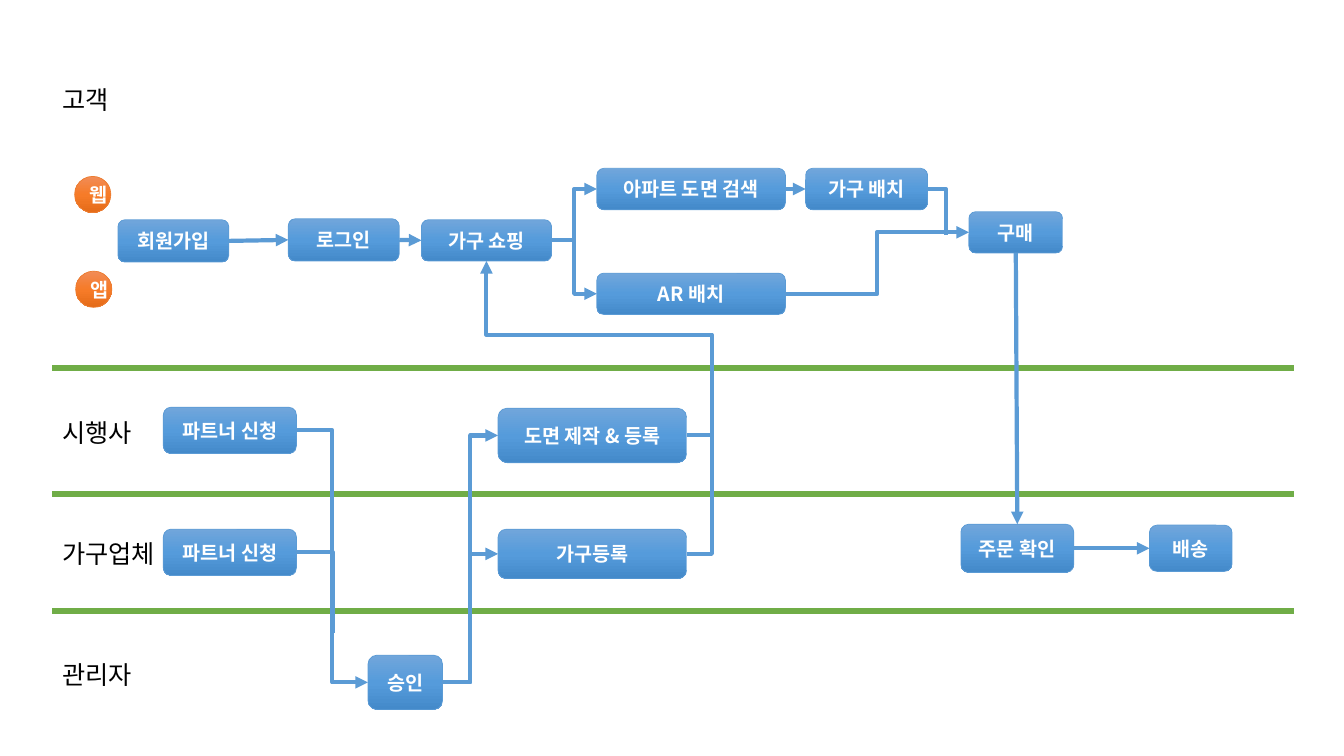
from typing import NamedTuple, Optional

from lxml import etree
from pptx import Presentation
from pptx import util as u
from pptx.dml.color import RGBColor
from pptx.enum import shapes, text
from pptx.oxml import ns

FONT = "Noto Sans CJK KR"
BLUE, ORANGE, GREEN = "5B9BD5", "ED7D31", "70AD47"
BLUE_STOPS = ("71A6DB", "559BDB", "448ACA")
ORANGE_STOPS = ("F18C57", "F67B28", "E56C19")
TOP, LEFT, BOTTOM, RIGHT = range(4)


class Step(NamedTuple):
    """A process box: key, caption and place in inches."""
    key: str
    caption: str
    x: float
    y: float
    w: float
    h: float


class Link(NamedTuple):
    """An arrow from one step to another, through connection sites."""
    start: str
    end: str
    preset: str = "line"
    start_site: int = RIGHT
    end_site: int = LEFT
    adjust: tuple[int, ...] = ()


class Join(NamedTuple):
    """An elbow from a step's right side that meets another line."""
    start: str
    x: float
    y: float


LANES = [("고객", 0.79), ("시행사", 4.09), ("가구업체", 5.29), ("관리자", 6.49)]
DIVIDERS = [3.65, 4.9, 6.06]
CHANNELS = [Step("web", "웹", 0.74, 1.75, 0.36, 0.36),
            Step("app", "앱", 0.75, 2.69, 0.36, 0.36)]
STEPS = [
    Step("builder", "파트너 신청", 1.62, 4.04, 1.32, 0.46),
    Step("maker", "파트너 신청", 1.62, 5.25, 1.32, 0.46),
    Step("plans", "도면 제작 & 등록", 4.94, 4.05, 1.87, 0.54),
    Step("furniture", "가구등록", 4.94, 5.25, 1.87, 0.49),
    Step("approve", "승인", 3.65, 6.5, 0.74, 0.54),
    Step("join", "회원가입", 1.17, 2.18, 1.1, 0.42),
    Step("login", "로그인", 2.86, 2.17, 1.1, 0.42),
    Step("order", "주문 확인", 9.53, 5.2, 1.12, 0.48),
    Step("delivery", "배송", 11.4, 5.21, 0.82, 0.46),
    Step("shopping", "가구 쇼핑", 4.18, 2.18, 1.29, 0.41),
    Step("search", "아파트 도면 검색", 5.92, 1.67, 1.87, 0.41),
    Step("placing", "가구 배치", 7.99, 1.67, 1.21, 0.41),
    Step("buy", "구매", 9.61, 2.1, 0.93, 0.41),
    Step("ar", "AR 배치", 5.92, 2.71, 1.87, 0.41),
]
LINKS = [
    Link("join", "login"),
    Link("login", "shopping"),
    Link("search", "placing"),
    Link("order", "delivery"),
    Link("buy", "order", "line", BOTTOM, TOP),
    Link("builder", "approve", "bentConnector3"),
    Link("approve", "plans", "bentConnector3"),
    Link("approve", "furniture", "bentConnector3"),
    Link("shopping", "search", "bentConnector3"),
    Link("shopping", "ar", "bentConnector3"),
    Link("ar", "buy", "bentConnector3"),
    Link("plans", "shopping", "bentConnector4", RIGHT, BOTTOM, (-12600, 57800)),
]
JOINS = [Join("maker", 3.3, 6.28), Join("placing", 9.38, 2.33),
         Join("furniture", 7.06, 3.65)]


def rgb(value: str) -> RGBColor:
    """Turn a hex string into a colour."""
    return RGBColor.from_string(value)


def sub(parent, tag: str, **attrs: str):
    """Append a DrawingML element."""
    return etree.SubElement(parent, ns.qn(tag), attrs)


def write(tf, caption: str, size: int, color: str, bold: bool = False) -> None:
    """Set a one-paragraph text and format its run."""
    tf.text = caption
    r = tf.paragraphs[0].runs[0]
    r.font.size, r.font.bold, r.font.name = u.Pt(size), bold, FONT
    r.font.color.rgb = rgb(color)
    sub(r.font._element, "a:ea", typeface=FONT)


def add_step(s, step: Step, preset, stops: tuple[str, ...], outline: str):
    """Draw a step with a vertical three-stop gradient."""
    sp = s.shapes.add_shape(preset, *map(u.Inches, step[2:]))
    sp.shadow.inherit = False
    sp.fill.gradient()
    sp.fill.gradient_angle = 270
    stop_list = sp._element.spPr.find(".//" + ns.qn("a:gsLst"))
    for old in list(stop_list):
        stop_list.remove(old)
    for i, color in enumerate(stops):
        stop = sub(stop_list, "a:gs", pos=str(i * 50000))
        sub(stop, "a:srgbClr", val=color)
    sp.line.color.rgb = rgb(outline)
    sp.line.width = u.Pt(0.5)
    tf = sp.text_frame
    tf.word_wrap = True
    tf.vertical_anchor = text.MSO_ANCHOR.MIDDLE
    write(tf, step.caption, 14, "FFFFFF", True)
    tf.paragraphs[0].alignment = text.PP_ALIGN.CENTER
    return sp


def add_line(s, ends: tuple[float, ...], color: str, width: float,
             preset: str = "line", adjust: tuple[int, ...] = (),
             arrow: bool = False):
    """Draw a connector between two points given in inches."""
    kind = shapes.MSO_CONNECTOR
    cx = s.shapes.add_connector(
        kind.STRAIGHT if preset == "line" else kind.ELBOW, *map(u.Inches, ends))
    cx.line.color.rgb = rgb(color)
    cx.line.width = u.Pt(width)
    spPr = cx._element.spPr
    geom = spPr.find(ns.qn("a:prstGeom"))
    geom.set("prst", preset)
    for i, value in enumerate(adjust, 1):
        sub(geom.find(ns.qn("a:avLst")), "a:gd", name=f"adj{i}", fmla=f"val {value}")
    if arrow:
        sub(spPr.find(ns.qn("a:ln")), "a:tailEnd", type="triangle")
    sub(spPr, "a:effectLst")
    return cx


def add_link(s, link: Link, boxes: dict) -> None:
    """Draw an arrow attached to both of its steps."""
    cx = add_line(s, (0, 0, 1, 1), BLUE, 3, link.preset, link.adjust, True)
    cx.begin_connect(boxes[link.start], link.start_site)
    cx.end_connect(boxes[link.end], link.end_site)


def add_join(s, join: Join, boxes: dict) -> None:
    """Draw an elbow attached to its first step only."""
    cx = add_line(s, (0, 0, join.x, join.y), BLUE, 3, "bentConnector2")
    cx.begin_connect(boxes[join.start], RIGHT)


def add_lane(s, name: str, y: float) -> Optional[object]:
    """Write the name of a lane."""
    sp = s.shapes.add_textbox(*map(u.Inches, (0.52, y, 1.38, 0.4)))
    sp.text_frame.word_wrap = True
    write(sp.text_frame, name, 18, "000000")
    return sp


def main() -> None:
    """Build the swimlane slide."""
    prs = Presentation()
    prs.slide_width, prs.slide_height = u.Inches(13.33), u.Inches(7.5)
    s = prs.slides.add_slide(prs.slide_layouts[6])
    for name, y in LANES:
        add_lane(s, name, y)
    for y in DIVIDERS:
        add_line(s, (12.83, y, 0.52, y), GREEN, 4.5)
    preset = shapes.MSO_SHAPE
    boxes = {step.key: add_step(s, step, preset.ROUNDED_RECTANGLE, BLUE_STOPS, BLUE)
             for step in STEPS}
    for channel in CHANNELS:
        add_step(s, channel, preset.OVAL, ORANGE_STOPS, ORANGE)
    for link in LINKS:
        add_link(s, link, boxes)
    for join in JOINS:
        add_join(s, join, boxes)
    prs.save("out.pptx")


main()
